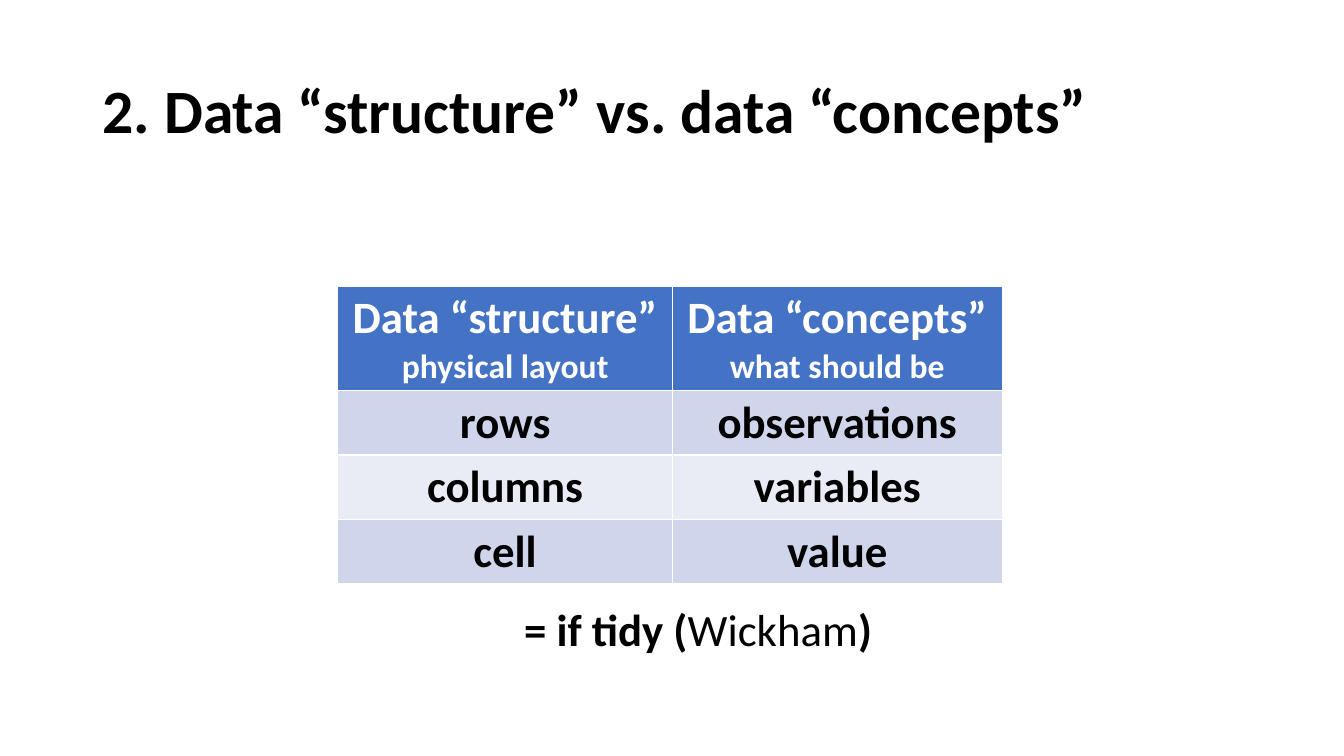
import pptx
import pptx.dml.color
import pptx.enum.text
import pptx.util

Inches = pptx.util.Inches
RGBColor = pptx.dml.color.RGBColor
ALIGN = pptx.enum.text.PP_ALIGN
ANCHOR = pptx.enum.text.MSO_ANCHOR

BLACK = RGBColor(0x00, 0x00, 0x00)
WHITE = RGBColor(0xFF, 0xFF, 0xFF)
HEADER_BLUE = RGBColor(0x44, 0x72, 0xC4)
ROW_BANDS = [RGBColor(0xCF, 0xD5, 0xEA), RGBColor(0xE9, 0xEB, 0xF5)]

FONT = "Calibri"
COLUMN_WIDTHS = [3.32, 3.27]
HEADER_HEIGHT = 1.03
ROW_HEIGHT = 0.64
HEADERS = ["Data “structure”\nphysical layout", "Data “concepts”\nwhat should be"]
ROWS = [("rows", "observations"), ("columns", "variables"), ("cell", "value")]


def format_run(run, size, color, bold=True):
    run.font.name = FONT
    run.font.size = pptx.util.Pt(size)
    run.font.bold = bold
    run.font.color.rgb = color


def add_text(slide, left, top, width, height, pieces, size, anchor, space_before=0):
    """Add a one-paragraph text box; pieces are (text, bold) pairs."""
    box = slide.shapes.add_textbox(Inches(left), Inches(top), Inches(width), Inches(height))
    frame = box.text_frame
    frame.word_wrap = True
    frame.vertical_anchor = anchor
    paragraph = frame.paragraphs[0]
    paragraph.line_spacing = 0.9
    paragraph.space_before = pptx.util.Pt(space_before)
    for text, bold in pieces:
        run = paragraph.add_run()
        run.text = text
        format_run(run, size, BLACK, bold)


def fill_cell(cell, text, sizes, color, fill):
    """Write centred lines into a cell, one size for each line."""
    cell.fill.solid()
    cell.fill.fore_color.rgb = fill
    cell.text_frame.text = text
    for paragraph, size in zip(cell.text_frame.paragraphs, sizes):
        paragraph.alignment = ALIGN.CENTER
        for run in paragraph.runs:
            format_run(run, size, color)


def add_comparison_table(slide, left, top):
    height = HEADER_HEIGHT + ROW_HEIGHT * len(ROWS)
    table = slide.shapes.add_table(
        len(ROWS) + 1, len(HEADERS),
        Inches(left), Inches(top), Inches(sum(COLUMN_WIDTHS)), Inches(height),
    ).table
    for column, width in zip(table.columns, COLUMN_WIDTHS):
        column.width = Inches(width)
    for index, row in enumerate(table.rows):
        row.height = Inches(ROW_HEIGHT if index else HEADER_HEIGHT)

    for column, header in enumerate(HEADERS):
        fill_cell(table.cell(0, column), header, [32, 24], WHITE, HEADER_BLUE)
    for index, labels in enumerate(ROWS):
        band = ROW_BANDS[index % len(ROW_BANDS)]
        for column, label in enumerate(labels):
            fill_cell(table.cell(index + 1, column), label, [32], BLACK, band)


def main():
    presentation = pptx.Presentation()
    presentation.slide_width = Inches(13.33)
    presentation.slide_height = Inches(7.5)
    slide = presentation.slides.add_slide(presentation.slide_layouts[6])

    add_text(slide, 0.92, 0.4, 11.5, 1.45,
             [("2. Data “structure” vs. data “concepts”", True)], 44, ANCHOR.MIDDLE)
    add_comparison_table(slide, 3.35, 2.84)
    add_text(slide, 5.1, 5.98, 4.22, 0.95,
             [("= if tidy (", True), ("Wickham", False), (")", True)], 32, ANCHOR.TOP, 10)

    presentation.save("out.pptx")


if __name__ == "__main__":
    main()
